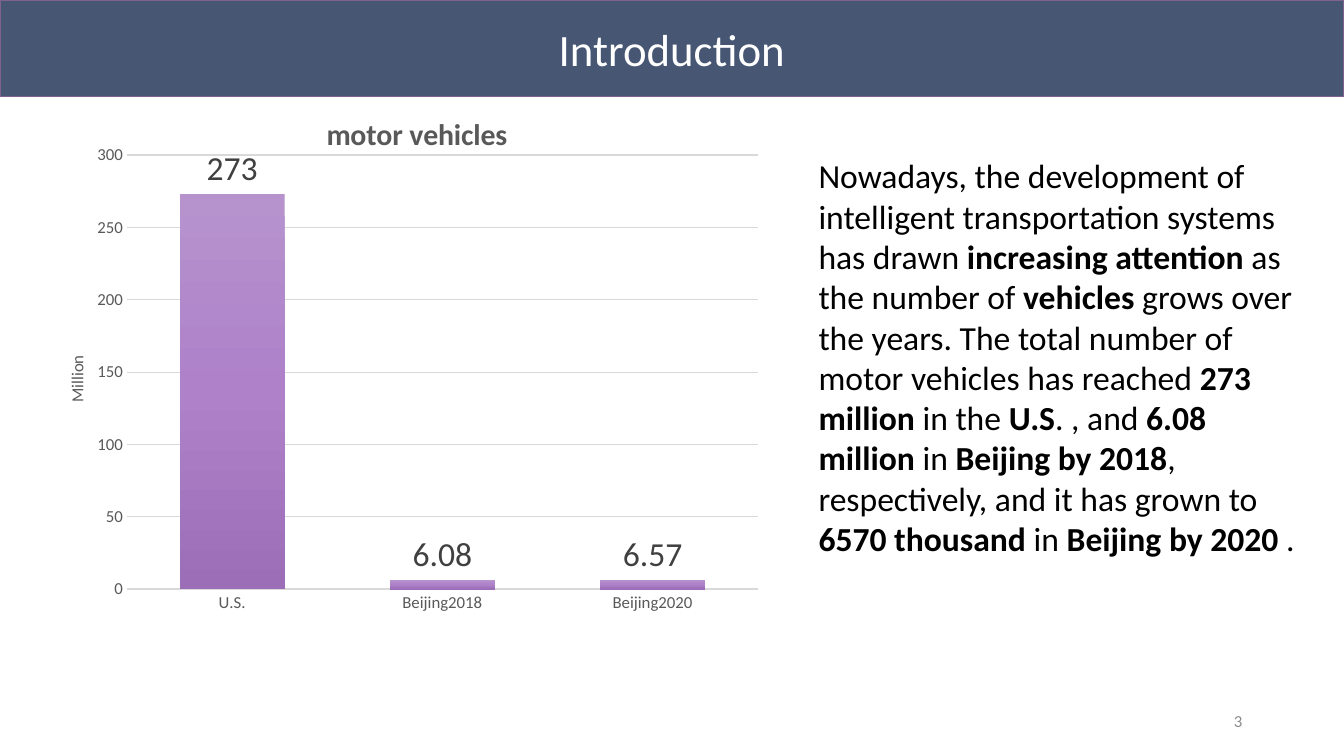
from copy import deepcopy

from lxml import etree
from pptx import Presentation
from pptx.chart.data import CategoryChartData
from pptx.dml.color import RGBColor
from pptx.enum.chart import XL_CHART_TYPE, XL_LABEL_POSITION, XL_TICK_MARK
from pptx.enum.shapes import MSO_SHAPE
from pptx.enum.text import MSO_ANCHOR, MSO_AUTO_SIZE, PP_ALIGN
from pptx.oxml.ns import qn
from pptx.util import Inches, Pt

COLUMNS = XL_CHART_TYPE.COLUMN_CLUSTERED
OUTSIDE_END = XL_LABEL_POSITION.OUTSIDE_END
NO_TICK = XL_TICK_MARK.NONE
RECTANGLE = MSO_SHAPE.RECTANGLE
MIDDLE = MSO_ANCHOR.MIDDLE
FIT_SHAPE = MSO_AUTO_SIZE.SHAPE_TO_FIT_TEXT
LEFT, CENTER, RIGHT = PP_ALIGN.LEFT, PP_ALIGN.CENTER, PP_ALIGN.RIGHT

FONT = "Calibri"
COLORS = {
    "banner": "465673", "banner_line": "806292", "white": "FFFFFF",
    "text": "000000", "chart_text": "595959", "label": "404040",
    "grid": "D9D9D9", "number": "8C8C8C",
    "bar_top": "B693CD", "bar_middle": "AE81C9", "bar_bottom": "9B6EB7",
}
VEHICLES = {"U.S.": 273, "Beijing2018": 6.08, "Beijing2020": 6.57}
PLOT_AREA = {"x": 0.091, "y": 0.118, "w": 0.89, "h": 0.822}

# Each pair is a text and whether it is bold
SUMMARY = [
    ("Nowadays, the development of intelligent transportation systems has drawn ", False),
    ("increasing attention ", True),
    ("as the number of ", False),
    ("vehicles", True),
    (" grows over the years. The total number of motor vehicles has reached ", False),
    ("273 million ", True),
    ("in the ", False),
    ("U.S", True),
    (". , and ", False),
    ("6.08 million ", True),
    ("in ", False),
    ("Beijing by 2018", True),
    (", respectively, and it has grown to ", False),
    ("6570 thousand ", True),
    ("in ", False),
    ("Beijing by 2020 ", True),
    (".", False),
]


def rgb(name):
    return RGBColor.from_string(COLORS[name])


def style_font(font, size, color, bold=False):
    font.name, font.size, font.bold = FONT, Pt(size), bold
    font.color.rgb = rgb(color)


def write(frame, runs, size, color, align=LEFT):
    frame.word_wrap = True
    paragraph = frame.paragraphs[0]
    paragraph.alignment = align
    for text, bold in runs:
        run = paragraph.add_run()
        run.text = text
        style_font(run.font, size, color, bold)


def add_banner(slide, box, title):
    banner = slide.shapes.add_shape(RECTANGLE, *map(Inches, box))
    banner.shadow.inherit = False
    banner.fill.solid()
    banner.fill.fore_color.rgb = rgb("banner")
    banner.line.color.rgb = rgb("banner_line")
    banner.line.width = Pt(1)
    banner.text_frame.vertical_anchor = MIDDLE
    write(banner.text_frame, [(title, False)], 32, "white", CENTER)


def fill_bars(fill):
    fill.gradient()
    fill.gradient_angle = 270
    first = fill.gradient_stops[0]._gs
    first.addnext(deepcopy(first))
    shades = zip(fill.gradient_stops, ("bar_top", "bar_middle", "bar_bottom"), (0, 0.5, 1))
    for stop, color, position in shades:
        stop.color.rgb = rgb(color)
        stop.position = position


def place_plot(chart):
    plot_area = chart._chartSpace.find(".//" + qn("c:plotArea"))
    for automatic in plot_area.findall(qn("c:layout")):
        plot_area.remove(automatic)
    layout = etree.Element(qn("c:layout"))
    manual = etree.SubElement(layout, qn("c:manualLayout"))
    settings = {"layoutTarget": "inner", "xMode": "edge", "yMode": "edge", **PLOT_AREA}
    for tag, value in settings.items():
        etree.SubElement(manual, qn("c:" + tag), val=str(value))
    plot_area.insert(0, layout)


def add_chart_title(frame, text, size, bold=False):
    run = frame.paragraphs[0].add_run()
    run.text = text
    style_font(run.font, size, "chart_text", bold)


def add_vehicle_chart(slide, box):
    data = CategoryChartData()
    data.categories = list(VEHICLES)
    data.add_series("Series 1", list(VEHICLES.values()))
    chart = slide.shapes.add_chart(COLUMNS, *map(Inches, box), data).chart
    style_font(chart.font, 10, "text")
    chart.has_legend = False
    chart.has_title = True
    add_chart_title(chart.chart_title.text_frame, "motor vehicles", 21.3, True)
    place_plot(chart)

    # Axes
    categories, millions = chart.category_axis, chart.value_axis
    for axis in (categories, millions):
        axis.major_tick_mark = axis.minor_tick_mark = NO_TICK
        style_font(axis.tick_labels.font, 12, "chart_text")
    categories.format.line.color.rgb = rgb("grid")
    categories.format.line.width = Pt(1)
    millions.minimum_scale, millions.maximum_scale, millions.major_unit = 0, 300, 50
    millions.format.line.fill.background()
    millions.has_major_gridlines = True
    grid = millions.major_gridlines.format.line
    grid.color.rgb = rgb("grid")
    grid.width = Pt(0.75)
    unit = millions.axis_title.text_frame
    add_chart_title(unit, "Million", 12)
    unit._txBody.bodyPr.set("rot", "-5400000")
    unit._txBody.bodyPr.set("vert", "horz")

    # Bars and their values
    bars = chart.plots[0]
    bars.gap_width, bars.overlap = 100, -24
    bars.vary_by_categories = False
    fill_bars(bars.series[0].format.fill)
    bars.has_data_labels = True
    labels = bars.data_labels
    labels.show_value = True
    labels.position = OUTSIDE_END
    style_font(labels.font, 24, "label")


def add_summary(slide, box):
    frame = slide.shapes.add_textbox(*map(Inches, box)).text_frame
    frame.auto_size = FIT_SHAPE
    write(frame, SUMMARY, 24, "text")


def add_slide_number(slide, box, number):
    frame = slide.shapes.add_textbox(*map(Inches, box)).text_frame
    frame.vertical_anchor = MIDDLE
    write(frame, [(number, False)], 12, "number", RIGHT)


def main():
    deck = Presentation()
    deck.slide_width, deck.slide_height = Inches(13.33), Inches(7.5)
    slide = deck.slides.add_slide(deck.slide_layouts[6])
    add_vehicle_chart(slide, (0.62, 0.92, 7.03, 5.24))
    add_summary(slide, (8.02, 1.49, 5.04, 4.14))
    add_banner(slide, (0, 0, 13.33, 0.96), "Introduction")
    add_slide_number(slide, (9.42, 6.95, 3, 0.4), "3")
    deck.save("out.pptx")


if __name__ == "__main__":
    main()
